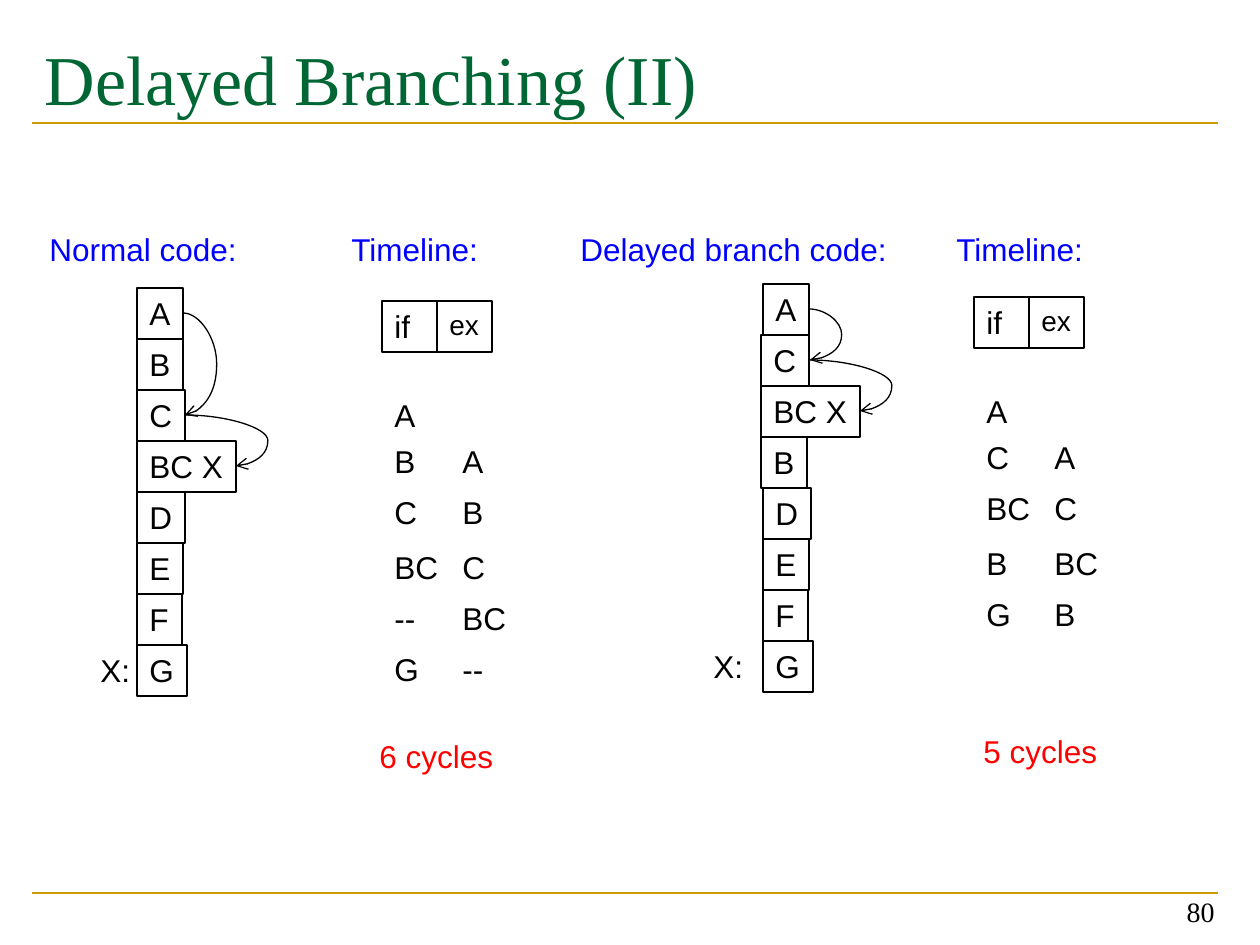
from dataclasses import dataclass

from lxml.etree import SubElement
from pptx import Presentation
from pptx.dml.color import RGBColor
from pptx.enum.shapes import MSO_CONNECTOR, MSO_SHAPE
from pptx.enum.text import MSO_ANCHOR, MSO_AUTO_SIZE, PP_ALIGN
from pptx.oxml.ns import qn
from pptx.util import Pt

TITLE = "Delayed Branching (II)"
PAGE_NUMBER = "80"
STAGES = ("if", "ex")
BRANCH_CHAIN = ("A", "C", "BC X")

# Positions are in px; each code entry is (label, shift from the column's left edge).
PANELS = [
    {
        "headings": [("Normal code:", 37, 214), ("Timeline:", 339, 154)],
        "code": [("A", 0), ("B", 0), ("C", 0), ("BC X", 0),
                 ("D", 0), ("E", 0), ("F", 0), ("G", 0)],
        "code_at": (137, 288),
        "target_left": 88,
        "timeline": [("A", ""), ("B", "A"), ("C", "B"),
                     ("BC", "C"), ("--", "BC"), ("G", "--")],
        "stages_at": (382, 301),
        "timeline_top": 390,
        "total": ("6 cycles", 367, 731),
    },
    {
        "headings": [("Delayed branch code:", 568, 335), ("Timeline:", 944, 154)],
        "code": [("A", 0), ("C", -2), ("BC X", -2), ("B", -2),
                 ("D", 0), ("E", 0), ("F", 0), ("G", 0)],
        "code_at": (763, 284),
        "target_left": 701,
        "timeline": [("A", ""), ("C", "A"), ("BC", "C"), ("B", "BC"), ("G", "B")],
        "stages_at": (974, 297),
        "timeline_top": 386,
        "total": ("5 cycles", 971, 726),
    },
]

LABEL_WIDTHS = {"C": 48, "D": 48, "F": 45, "G": 50, "BC": 69, "BC X": 99}
DEFAULT_WIDTH = 46
TIMELINE_OFFSETS = (0, 46, 97, 152, 203, 254)
ROW_HEIGHT = 51
STAGE_WIDTH = 55
EXECUTE_SHIFT = 68
HEADING_TOP = 224
ARROW_BULGE = 32
RULE_LEFT, RULE_RIGHT = 32, 1218
RULE_TOPS = (123, 893)


@dataclass(frozen=True)
class Theme:
    body_font: str = "Arial"
    title_font: str = "Times New Roman"
    ink: RGBColor = RGBColor(0, 0, 0)
    paper: RGBColor = RGBColor(255, 255, 255)
    title: RGBColor = RGBColor(0x00, 0x66, 0x33)
    rule: RGBColor = RGBColor(0xCC, 0x99, 0x00)
    heading: RGBColor = RGBColor(0, 0, 255)
    total: RGBColor = RGBColor(255, 0, 0)
    title_size: int = 40
    body_size: int = 18
    small_size: int = 16
    thin: float = 0.75
    thick: float = 1.5


THEME = Theme()


def px(value):
    return round(value * 914400 / 126)


def write(shape, text, color=THEME.ink, size=THEME.body_size, font=THEME.body_font,
          align=PP_ALIGN.LEFT, anchor=MSO_ANCHOR.TOP, wrap=False):
    frame = shape.text_frame
    frame.text = text
    frame.word_wrap = wrap
    frame.auto_size = MSO_AUTO_SIZE.NONE if wrap else MSO_AUTO_SIZE.SHAPE_TO_FIT_TEXT
    frame.vertical_anchor = anchor
    paragraph = frame.paragraphs[0]
    paragraph.alignment = align
    run_font = paragraph.runs[0].font
    run_font.name, run_font.size, run_font.color.rgb = font, Pt(size), color


def add_label(slide, text, left, top, width, **style):
    box = slide.shapes.add_textbox(px(left), px(top), px(width), px(ROW_HEIGHT))
    write(box, text, **style)


def add_box(slide, text, left, top, width, filled=False, **style):
    box = slide.shapes.add_shape(
        MSO_SHAPE.RECTANGLE, px(left), px(top), px(width), px(ROW_HEIGHT))
    box.shadow.inherit = False
    if filled:
        box.fill.solid()
        box.fill.fore_color.rgb = THEME.paper
    else:
        box.fill.background()
    box.line.color.rgb = THEME.ink
    box.line.width = Pt(THEME.thin)
    write(box, text, **style)


def add_line(slide, kind, start, end, color, width):
    line = slide.shapes.add_connector(kind, *map(px, start + end))
    line.line.color.rgb = color
    line.line.width = Pt(width)
    SubElement(line._element.spPr, qn("a:effectLst"))
    return line


def add_branch_arrow(slide, start, end):
    """Curve out to the right of both ends, with an arrowhead at the end."""
    span = max(1, end[0] - start[0])
    end = (start[0] + span, end[1])
    arrow = add_line(slide, MSO_CONNECTOR.CURVE, start, end, THEME.ink, THEME.thin)
    properties = arrow._element.spPr
    bend = round((span + ARROW_BULGE) / span * 100000)
    SubElement(properties.find(".//" + qn("a:avLst")), qn("a:gd"),
               name="adj1", fmla=f"val {bend}")
    SubElement(properties.find(qn("a:ln")), qn("a:tailEnd"), type="arrow")


def add_code(slide, panel):
    left, top = panel["code_at"]
    right_middles = {}
    for row, (label, shift) in enumerate(panel["code"]):
        width = LABEL_WIDTHS.get(label, DEFAULT_WIDTH)
        box_top = top + row * ROW_HEIGHT
        add_box(slide, label, left + shift, box_top, width)
        right_middles[label] = (left + shift + width, box_top + ROW_HEIGHT // 2)
    add_label(slide, "X:", panel["target_left"], box_top, 55)
    for source, target in zip(BRANCH_CHAIN, BRANCH_CHAIN[1:]):
        add_branch_arrow(slide, right_middles[source], right_middles[target])


def add_timeline(slide, panel):
    left, top = panel["stages_at"]
    for column, (stage, size) in enumerate(
            zip(STAGES, (THEME.body_size, THEME.small_size))):
        add_box(slide, stage, left + column * STAGE_WIDTH, top, STAGE_WIDTH,
                filled=True, size=size, wrap=True)
    for offset, cycle in zip(TIMELINE_OFFSETS, panel["timeline"]):
        for column, label in enumerate(cycle):
            if label:
                add_label(slide, label, left + column * EXECUTE_SHIFT,
                          panel["timeline_top"] + offset,
                          LABEL_WIDTHS.get(label, DEFAULT_WIDTH))


def add_frame(slide):
    for top in RULE_TOPS:
        add_line(slide, MSO_CONNECTOR.STRAIGHT, (RULE_LEFT, top), (RULE_RIGHT, top),
                 THEME.rule, THEME.thick)
    title = slide.shapes.title
    title.left, title.top, title.width, title.height = map(px, (32, 21, 1186, 147))
    write(title, TITLE, color=THEME.title, size=THEME.title_size,
          font=THEME.title_font, wrap=True)
    title.text_frame.margin_top = px(15)
    number = slide.shapes.add_textbox(*map(px, (934, 871, 293, 63)))
    write(number, PAGE_NUMBER, size=THEME.small_size, font=THEME.title_font,
          align=PP_ALIGN.RIGHT, anchor=MSO_ANCHOR.BOTTOM, wrap=True)


def main():
    presentation = Presentation()
    presentation.slide_width, presentation.slide_height = px(1260), px(945)
    slide = presentation.slides.add_slide(presentation.slide_layouts[5])
    add_frame(slide)
    for panel in PANELS:
        for text, left, width in panel["headings"]:
            add_label(slide, text, left, HEADING_TOP, width, color=THEME.heading)
        add_code(slide, panel)
        add_timeline(slide, panel)
        text, left, top = panel["total"]
        add_label(slide, text, left, top, 140, color=THEME.total)
    presentation.save("out.pptx")


if __name__ == "__main__":
    main()
